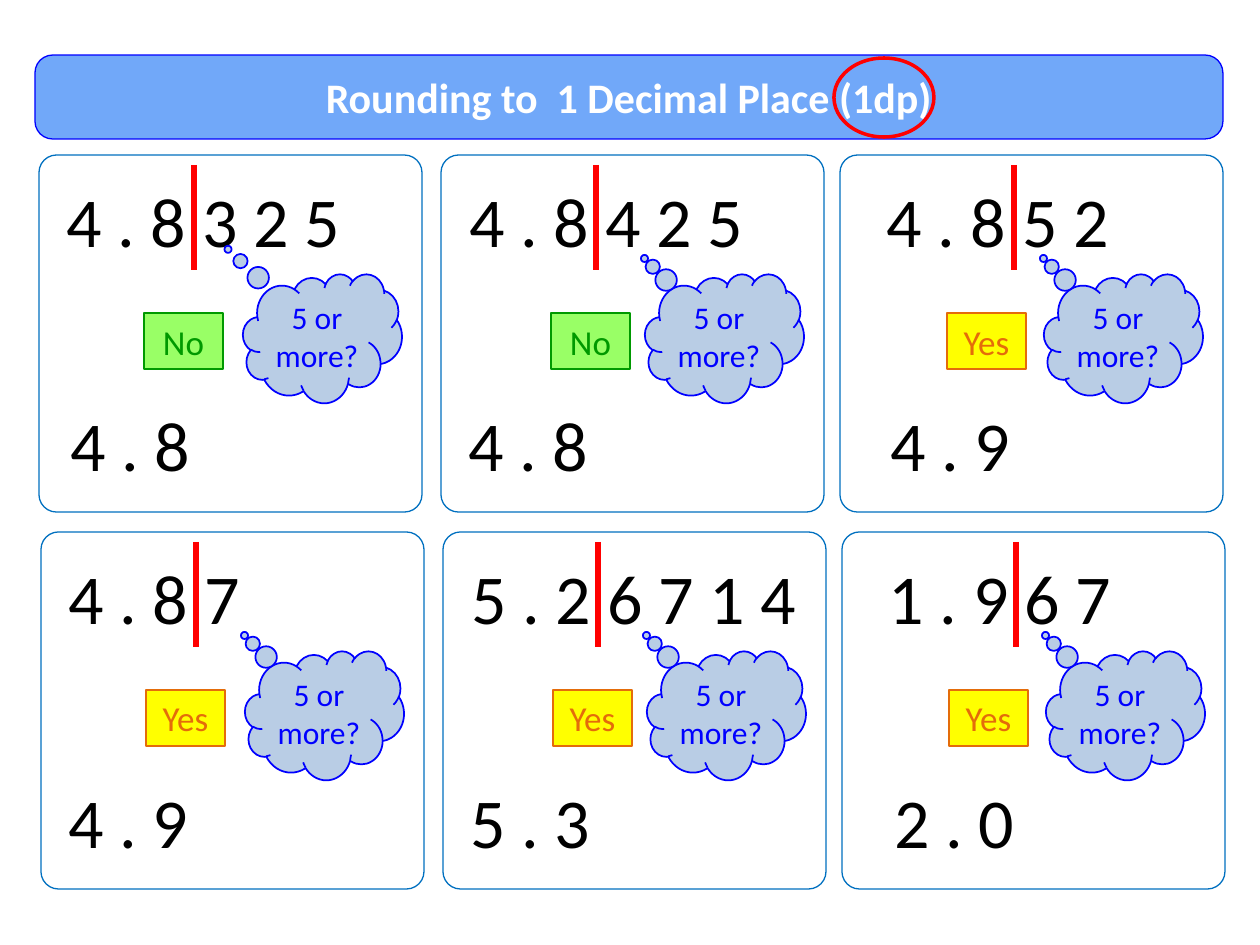
from collections import namedtuple

from lxml.etree import SubElement
from pptx import Presentation
from pptx.dml.color import RGBColor
from pptx.enum.shapes import MSO_CONNECTOR, MSO_SHAPE
from pptx.enum.text import MSO_ANCHOR, PP_ALIGN
from pptx.oxml.ns import qn
from pptx.util import Pt

PX = 7257
FONT = "Calibri"
RED = "FF0000"
BLUE = "0000FF"
CARD_WIDTH, CARD_HEIGHT = 383, 357
ROW_TOPS = (155, 532)
ROW_SHIFT = 2
BADGES = {"No": ("99FF66", "009900"), "Yes": ("FFFF00", "E46C0A")}
CLOUD_TAIL = (-0.503, -0.62)

Column = namedtuple("Column", "left number bar badge")
Sum = namedtuple("Sum", "number answer result result_left tail")

COLUMNS = (
    Column(39, 15, 155, 105),
    Column(441, 16, 155, 110),
    Column(840, 34, 174, 107),
)
SUMS = (
    (
        Sum("4 . 8 3 2 5", "No", "4 . 8", 19, (-0.594, -0.691)),
        Sum("4 . 8 4 2 5", "No", "4 . 8", 15, CLOUD_TAIL),
        Sum("4 . 8 5 2", "Yes", "4 . 9", 38, CLOUD_TAIL),
    ),
    (
        Sum("4 . 8 7", "Yes", "4 . 9", 15, CLOUD_TAIL),
        Sum("5 . 2 6 7 1 4", "Yes", "5 . 3", 15, CLOUD_TAIL),
        Sum("1 . 9 6 7", "Yes", "2 . 0", 40, CLOUD_TAIL),
    ),
)


def colour(value):
    return RGBColor.from_string(value)


def emu(*lengths):
    return [length * PX for length in lengths]


def add_panel(shapes, kind, box, fill, line, width, adjustments=()):
    panel = shapes.add_shape(kind, *emu(*box))
    panel.shadow.inherit = False
    if fill:
        panel.fill.solid()
        panel.fill.fore_color.rgb = colour(fill)
    else:
        panel.fill.background()
    panel.line.color.rgb = colour(line)
    panel.line.width = Pt(width)
    for index, value in enumerate(adjustments):
        panel.adjustments[index] = value
    return panel


def write(shape, text, size, ink, align=PP_ALIGN.CENTER, bold=False):
    frame = shape.text_frame
    frame.word_wrap = True
    para = frame.paragraphs[0]
    para.text = text
    para.alignment = align
    para.font.name = FONT
    para.font.size = Pt(size)
    para.font.bold = bold
    para.font.color.rgb = colour(ink)


def add_number(page, left, top, width, text):
    box = page.shapes.add_textbox(*emu(left, top, width, 97))
    write(box, text, 40, "000000", PP_ALIGN.LEFT)


def add_bar(page, left, top):
    bar = page.shapes.add_connector(
        MSO_CONNECTOR.STRAIGHT, *emu(left, top, left, top + 105))
    bar.line.color.rgb = colour(RED)
    bar.line.width = Pt(3)
    SubElement(bar._element.spPr, qn("a:effectLst"))


def add_cloud(page, left, top, tail):
    group = page.shapes.add_group_shape()
    add_panel(group.shapes, MSO_SHAPE.CLOUD_CALLOUT, (left, top, 159, 129),
              "B9CDE5", BLUE, 1, tail)
    label = group.shapes.add_textbox(*emu(left + 8, top + 18, 132, 90))
    write(label, "5 or more?", 18, BLUE)


def add_card(page, left, top, column, task):
    add_panel(page.shapes, MSO_SHAPE.ROUNDED_RECTANGLE,
              (left, top, CARD_WIDTH, CARD_HEIGHT), None, "0070C0", 0.75, (0.049,))
    add_bar(page, left + column.bar, top + 10)
    add_number(page, left + column.number, top + 16,
               CARD_WIDTH - column.number, task.number)
    fill, ink = BADGES[task.answer]
    badge = add_panel(page.shapes, MSO_SHAPE.RECTANGLE,
                      (left + column.badge, top + 158, 79, 56), fill, ink, 0.75)
    write(badge, task.answer, 20, ink)
    add_cloud(page, left + 204, top + 119, task.tail)
    add_number(page, left + task.result_left, top + 240, 305, task.result)


def add_title(page, left, top, width, height):
    banner = add_panel(page.shapes, MSO_SHAPE.ROUNDED_RECTANGLE,
                       (left, top, width, height), "71A8F9", BLUE, 0.75, (0.211,))
    banner.text_frame.vertical_anchor = MSO_ANCHOR.MIDDLE
    write(banner, "Rounding to  1 Decimal Place (1dp)", 24, "FFFFFF", bold=True)


def add_title_ring(page, left, top):
    add_panel(page.shapes, MSO_SHAPE.OVAL, (left, top, 100, 79), None, RED, 2)


def main():
    deck = Presentation()
    deck.slide_width, deck.slide_height = emu(1260, 945)
    page = deck.slides.add_slide(deck.slide_layouts[6])
    add_title(page, 35, 55, 1188, 84)
    for row, (top, tasks) in enumerate(zip(ROW_TOPS, SUMS)):
        for column, task in zip(COLUMNS, tasks):
            add_card(page, column.left + row * ROW_SHIFT, top, column, task)
    add_title_ring(page, 834, 58)
    deck.save("out.pptx")


if __name__ == "__main__":
    main()
